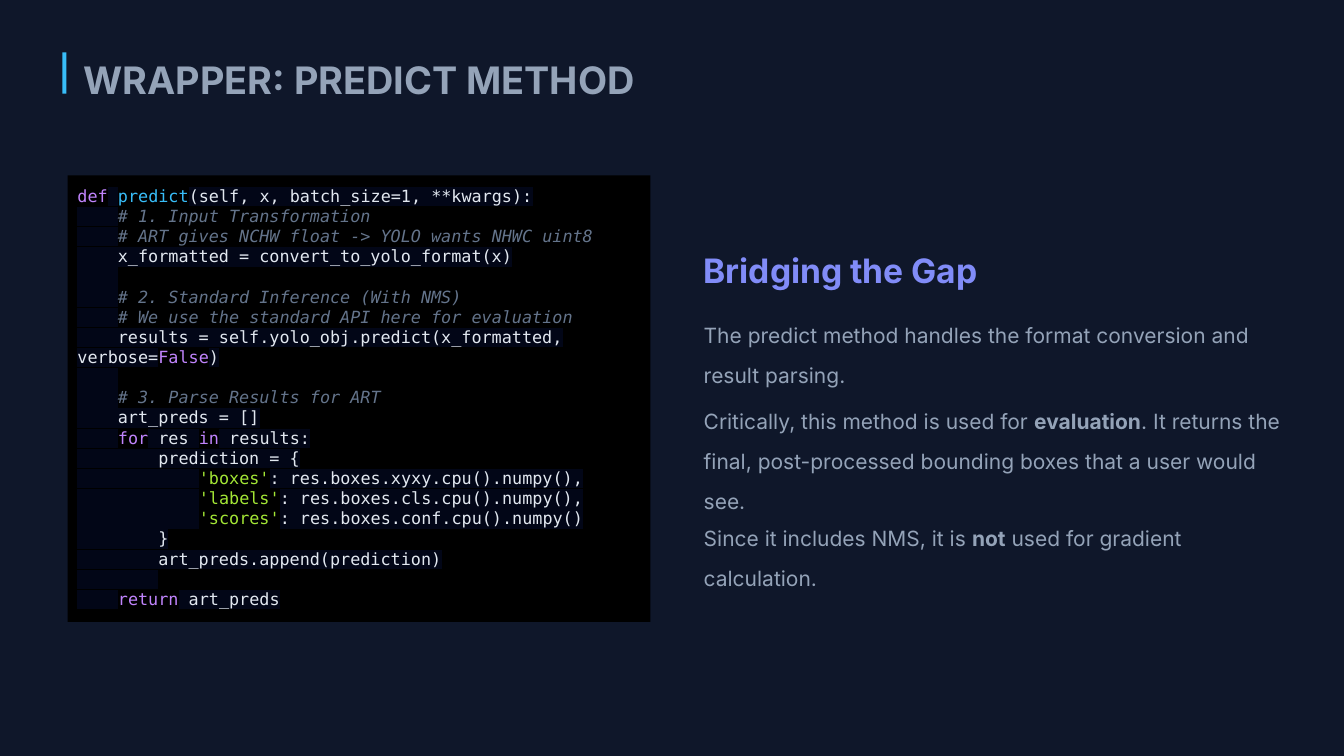
from lxml import etree
from pptx import Presentation
from pptx.dml.color import RGBColor
from pptx.enum.shapes import MSO_SHAPE
from pptx.enum.text import MSO_ANCHOR, MSO_AUTO_SIZE, PP_ALIGN
from pptx.oxml.ns import qn
from pptx.util import Inches, Pt

RECT = MSO_SHAPE.RECTANGLE
TOP = MSO_ANCHOR.TOP
LEFT = PP_ALIGN.LEFT
GROW = MSO_AUTO_SIZE.SHAPE_TO_FIT_TEXT

NAVY = RGBColor(0x0F, 0x17, 0x2A)
SLATE = RGBColor(0x94, 0xA3, 0xB8)
SKY = RGBColor(0x38, 0xBD, 0xF8)
INDIGO = RGBColor(0x81, 0x8C, 0xF8)
BLACK = RGBColor(0x00, 0x00, 0x00)
CODE_TEXT = RGBColor(0xE2, 0xE8, 0xF0)
CODE_BACK = RGBColor(0x02, 0x06, 0x17)
PURPLE = RGBColor(0xC0, 0x84, 0xFC)
GRAY = RGBColor(0x64, 0x74, 0x8B)
LIME = RGBColor(0xA3, 0xE6, 0x35)

BODY_FONT = "Inter"
CODE_FONT = "DejaVu Sans Mono"

# Left, top, width, height, size, colour, line spacing, runs of (text, bold)
TEXTS = [
    (0.83, 0.52, 6.32, 0.41, 27, SLATE, 1.1, [("WRAPPER: PREDICT METHOD", True)]),
    (6.98, 2.44, 6.02, 0.37, 24, INDIGO, 1.1, [("Bridging the Gap", True)]),
    (6.98, 3.05, 5.73, 0.68, 15, SLATE, 1.6, [
        ("The predict method handles the format conversion and result parsing.", False)]),
    (6.98, 3.9, 5.73, 1.06, 15, SLATE, 1.6, [
        ("Critically, this method is used for ", False),
        ("evaluation", True),
        (". It returns the final, post-processed bounding boxes that a user would see.", False)]),
    (6.98, 5.06, 5.73, 0.67, 15, SLATE, 1.6, [
        ("Since it includes NMS, it is ", False),
        ("not", True),
        (" used for gradient calculation.", False)]),
]

# One list per code line, with runs of (text, colour)
INDENT = ("    ", CODE_TEXT)
DEEP_INDENT = ("            ", CODE_TEXT)
CODE = [
    [("def", PURPLE), (" ", CODE_TEXT), ("predict", SKY),
     ("(self, x, batch_size=1, **kwargs):", CODE_TEXT)],
    [INDENT, ("# 1. Input Transformation", GRAY)],
    [INDENT, ("# ART gives NCHW float -> YOLO wants NHWC uint8", GRAY)],
    [("    x_formatted = convert_to_yolo_format(x)", CODE_TEXT)],
    [INDENT],
    [INDENT, ("# 2. Standard Inference (With NMS)", GRAY)],
    [INDENT, ("# We use the standard API here for evaluation", GRAY)],
    [("    results = self.yolo_obj.predict(x_formatted, verbose=", CODE_TEXT),
     ("False", PURPLE), (")", CODE_TEXT)],
    [INDENT],
    [INDENT, ("# 3. Parse Results for ART", GRAY)],
    [("    art_preds = []", CODE_TEXT)],
    [INDENT, ("for", PURPLE), (" res ", CODE_TEXT), ("in", PURPLE),
     (" results:", CODE_TEXT)],
    [("        prediction = {", CODE_TEXT)],
    [DEEP_INDENT, ("'boxes'", LIME), (": res.boxes.xyxy.cpu().numpy(),", CODE_TEXT)],
    [DEEP_INDENT, ("'labels'", LIME), (": res.boxes.cls.cpu().numpy(),", CODE_TEXT)],
    [DEEP_INDENT, ("'scores'", LIME), (": res.boxes.conf.cpu().numpy()", CODE_TEXT)],
    [("        }", CODE_TEXT)],
    [("        art_preds.append(prediction)", CODE_TEXT)],
    [("        ", CODE_TEXT)],
    [INDENT, ("return", PURPLE), (" art_preds", CODE_TEXT)],
]


def add_run(p, text, font, size, color):
    r = p.add_run()
    r.text = text
    r.font.name = font
    r.font.size = Pt(size)
    r.font.color.rgb = color
    return r


def add_rect(s, left, top, width, height, color):
    sp = s.shapes.add_shape(RECT, Inches(left), Inches(top), Inches(width), Inches(height))
    sp.shadow.inherit = False
    sp.fill.solid()
    sp.fill.fore_color.rgb = color
    sp.line.fill.background()
    return sp


prs = Presentation()
prs.slide_width = Inches(13.33)
prs.slide_height = Inches(7.5)
s = prs.slides.add_slide(prs.slide_layouts[6])
s.background.fill.solid()
s.background.fill.fore_color.rgb = NAVY

# Title and explanation
for left, top, width, height, size, color, spacing, runs in TEXTS:
    sp = s.shapes.add_textbox(Inches(left), Inches(top), Inches(width), Inches(height))
    tf = sp.text_frame
    tf.word_wrap = True
    tf.auto_size = GROW
    tf.margin_left = tf.margin_right = tf.margin_top = tf.margin_bottom = 0
    p = tf.paragraphs[0]
    p.line_spacing = spacing
    for text, bold in runs:
        add_run(p, text, BODY_FONT, size, color).font.bold = bold

add_rect(s, 0.62, 0.52, 0.04, 0.41, SKY)

# Code panel
panel = add_rect(s, 0.67, 1.74, 5.78, 4.43, BLACK)
tf = panel.text_frame
tf.word_wrap = True
tf.vertical_anchor = TOP
tf.margin_left = tf.margin_right = tf.margin_top = tf.margin_bottom = Inches(0.1)
for i, line in enumerate(CODE):
    p = tf.add_paragraph() if i else tf.paragraphs[0]
    p.alignment = LEFT
    for text, color in line:
        r = add_run(p, text, CODE_FONT, 12, color)
        r.font.italic = color == GRAY
        if color == CODE_TEXT:
            highlight = etree.Element(qn("a:highlight"))
            etree.SubElement(highlight, qn("a:srgbClr"), val=str(CODE_BACK))
            r.font._element.find(qn("a:solidFill")).addnext(highlight)

prs.save("out.pptx")
